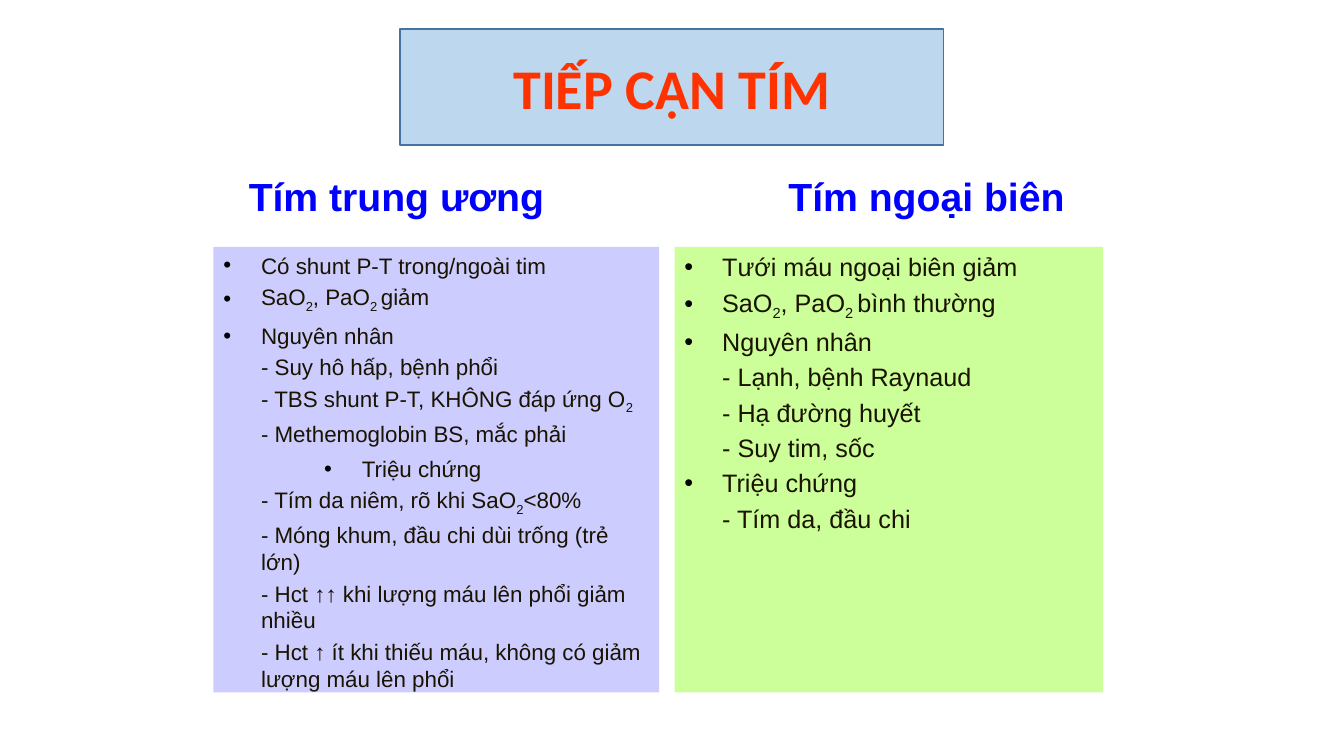
from pptx import Presentation
from pptx.dml.color import RGBColor
from pptx.enum.shapes import MSO_SHAPE as Shape
from pptx.enum.text import MSO_ANCHOR as Anchor, PP_ALIGN as Align
from pptx.oxml.ns import qn
from pptx.util import Cm, Pt
from lxml.etree import SubElement

INDENT = 0.95
NESTED_INDENT = 3.49

# "• " starts a bulleted line, "•• " a nested one; text between bars is subscript.
CENTRAL_LINES = [
    "• Có shunt P-T trong/ngoài tim",
    "• SaO|2|, PaO|2 |giảm",
    "• Nguyên nhân",
    "- Suy hô hấp, bệnh phổi",
    "- TBS shunt P-T, KHÔNG đáp ứng O|2|",
    "- Methemoglobin BS, mắc phải",
    "•• Triệu chứng",
    "- Tím da niêm, rõ khi SaO|2|<80%",
    "- Móng khum, đầu chi dùi trống (trẻ lớn)",
    "- Hct ↑↑ khi lượng máu lên phổi giảm nhiều",
    "- Hct ↑ ít khi thiếu máu, không có giảm lượng máu lên phổi",
]
PERIPHERAL_LINES = [
    "• Tưới máu ngoại biên giảm",
    "• SaO|2|, PaO|2 |bình thường",
    "• Nguyên nhân",
    "- Lạnh, bệnh Raynaud",
    "- Hạ đường huyết",
    "- Suy tim, sốc",
    "• Triệu chứng",
    "- Tím da, đầu chi",
]


def color(hex_string):
    return RGBColor.from_string(hex_string)


def set_font(font, hex_string, **formats):
    for name, value in formats.items():
        setattr(font, name, value)
    font.color.rgb = color(hex_string)


def add_panel(page, box, fill, line=None):
    """Add a flat rectangle and return its text frame."""
    panel = page.shapes.add_shape(Shape.RECTANGLE, *map(Cm, box))
    panel.shadow.inherit = False
    panel.fill.solid()
    panel.fill.fore_color.rgb = color(fill)
    if line:
        panel.line.color.rgb = color(line)
        panel.line.width = Pt(1)
    else:
        panel.line.fill.background()
    panel.text_frame.word_wrap = True
    return panel.text_frame


def add_title(page, box):
    frame = add_panel(page, box, "BDD7EE", "43739E")
    frame.vertical_anchor = Anchor.MIDDLE
    para = frame.paragraphs[0]
    para.alignment = Align.CENTER
    span = para.add_run()
    span.text = "TIẾP CẬN TÍM"
    set_font(span.font, "FF3300", name="Calibri", size=Pt(40), bold=True)


def add_headings(page, box):
    """Put both column headings on one line, the second at a tab stop."""
    frame = page.shapes.add_textbox(*map(Cm, box)).text_frame
    frame.word_wrap = True
    para = frame.paragraphs[0]
    para.line_spacing = 0.9
    props = para._p.get_or_add_pPr()
    props.set("marL", str(Cm(0.64)))
    tabs = SubElement(props, qn("a:tabLst"))
    SubElement(tabs, qn("a:tab"), pos=str(Cm(13.6)), algn="l")
    span = para.add_run()
    span.text = "Tím trung ương\tTím ngoại biên"
    set_font(span.font, "0000FF", name="Arial", size=Pt(28), bold=True)


def set_indent(para, marker):
    props = para._p.get_or_add_pPr()
    props.set("marL", str(Cm(NESTED_INDENT if marker == "••" else INDENT)))
    if marker == "-":
        return
    props.set("indent", str(-Cm(INDENT)))
    bullet_color = SubElement(props, qn("a:buClr"))
    SubElement(bullet_color, qn("a:srgbClr"), val="000000")
    SubElement(props, qn("a:buFont"), typeface="Arial")
    SubElement(props, qn("a:buChar"), char="•")


def add_list(page, box, fill, lines, size, major_gap):
    """Fill a panel with lines; major_gap precedes each later plain bullet heading."""
    frame = add_panel(page, box, fill)
    frame.vertical_anchor = Anchor.TOP
    for index, line in enumerate(lines):
        para = frame.add_paragraph() if index else frame.paragraphs[0]
        para.alignment = Align.LEFT
        marker, _, content = line.partition(" ")
        if index:
            is_major = content in ("Nguyên nhân", "Triệu chứng")
            para.space_before = Pt(major_gap if is_major else size * 0.2)
        set_indent(para, marker)
        text = line if marker == "-" else content
        for part, words in enumerate(text.split("|")):
            if not words:
                continue
            span = para.add_run()
            span.text = words
            set_font(span.font, "1A1300", name="Arial", size=Pt(size))
            if part % 2:
                span.font._element.set("baseline", "-25000")


def build_slide(deck):
    page = deck.slides.add_slide(deck.slide_layouts[6])
    left, top, height = 5.38, 6.22, 11.23
    add_headings(page, (left, 4.34, 23.22, 1.6))
    add_list(page, (left, top, 11.23, height), "CCCCFF", CENTRAL_LINES, 16, 6)
    add_list(page, (17, top, 10.8, height), "CCFF99", PERIPHERAL_LINES, 18, 3.6)
    add_title(page, (10.08, 0.73, 13.7, 2.93))


def main():
    deck = Presentation()
    deck.slide_width, deck.slide_height = Cm(33.87), Cm(19.05)
    build_slide(deck)
    deck.save("out.pptx")


if __name__ == "__main__":
    main()
